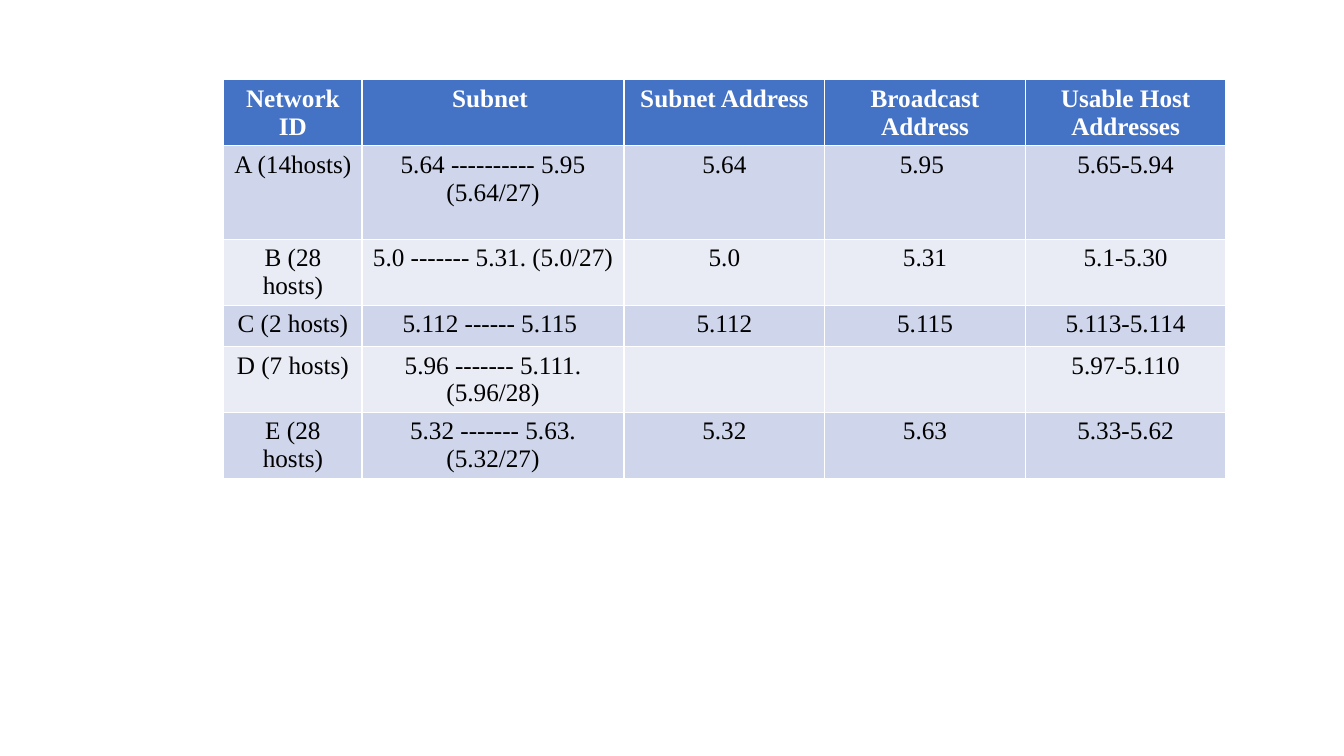
"""Build a slide with a table of subnets and their host ranges."""
from dataclasses import dataclass

from pptx import Presentation
from pptx import util as u
from pptx.dml.color import RGBColor
from pptx.enum import text


@dataclass(frozen=True)
class Theme:
    font: str = "Times New Roman"
    size: int = 18
    head: str = "4472C4"
    bands: tuple = ("CFD5EA", "E9EBF5")
    light: str = "FFFFFF"
    dark: str = "000000"


class Deck:
    def __init__(self, theme):
        self.theme = theme
        self.prs = Presentation()
        self.prs.slide_width = u.Inches(13.33)
        self.prs.slide_height = u.Inches(7.5)
        self.slide = self.prs.slides.add_slide(self.prs.slide_layouts[6])

    def cell(self, cell, words, fill, color, bold):
        cell.fill.solid()
        cell.fill.fore_color.rgb = RGBColor.from_string(fill)
        cell.text = words
        para = cell.text_frame.paragraphs[0]
        para.alignment = text.PP_ALIGN.CENTER
        font = para.font
        font.name = self.theme.font
        font.size = u.Pt(self.theme.size)
        font.bold = bold
        font.color.rgb = RGBColor.from_string(color)

    def table(self, left, top, widths, heights, rows):
        theme = self.theme
        table = self.slide.shapes.add_table(
            len(rows), len(widths), u.Inches(left), u.Inches(top),
            u.Inches(sum(widths)), u.Inches(sum(heights))).table
        for col, width in zip(table.columns, widths):
            col.width = u.Inches(width)
        for r, (row, height) in enumerate(zip(rows, heights)):
            table.rows[r].height = u.Inches(height)
            head = r == 0
            fill = theme.head if head else theme.bands[(r - 1) % 2]
            color = theme.light if head else theme.dark
            for c, words in enumerate(row):
                self.cell(table.cell(r, c), words, fill, color, head)


ROWS = [
    ("Network ID", "Subnet ", "Subnet Address", "Broadcast Address",
     "Usable Host Addresses"),
    ("A (14hosts)", "5.64 ---------- 5.95 (5.64/27)", "5.64", "5.95 ",
     "5.65-5.94"),
    ("B (28 hosts)", "5.0 ------- 5.31. (5.0/27)", "5.0", "5.31", "5.1-5.30"),
    ("C (2 hosts)", "5.112 ------ 5.115 ", "5.112", "5.115", "5.113-5.114"),
    ("D (7 hosts)", "5.96 ------- 5.111. (5.96/28)", "", "", "5.97-5.110"),
    ("E (28 hosts)", "5.32 ------- 5.63. (5.32/27)", "5.32", "5.63",
     "5.33-5.62"),
]


def main():
    deck = Deck(Theme())
    widths = [1.37, 2.6] + [1.99] * 3
    heights = [0.65, 0.93, 0.65, 0.41, 0.65, 0.65]
    deck.table(2.22, 0.79, widths, heights, ROWS)
    deck.prs.save("out.pptx")


if __name__ == "__main__":
    main()
